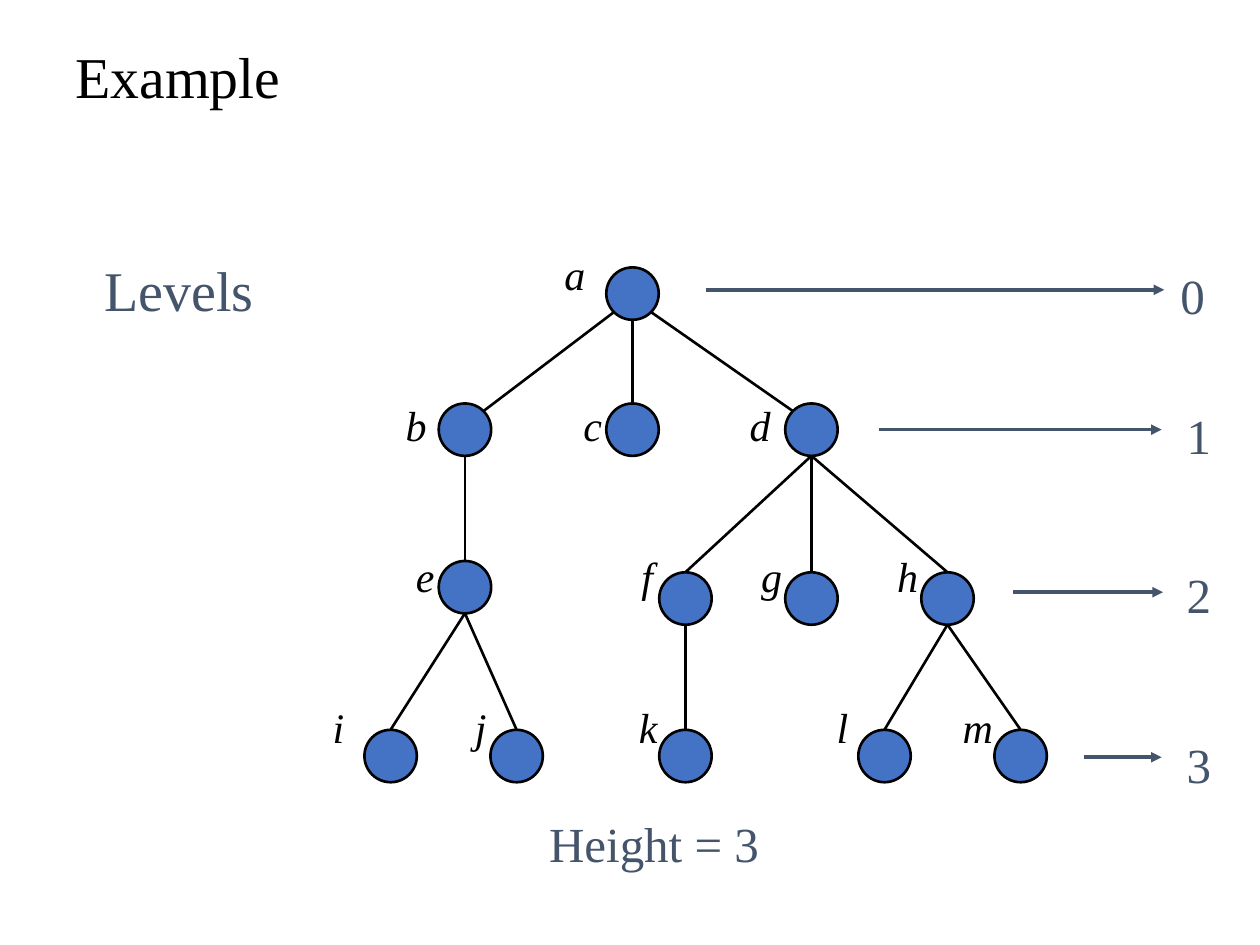
from math import sqrt

from lxml.etree import SubElement
from pptx import Presentation
from pptx.dml.color import RGBColor
from pptx.enum.shapes import MSO_CONNECTOR, MSO_SHAPE
from pptx.enum.text import MSO_ANCHOR
from pptx.oxml.ns import qn
from pptx.util import Inches, Pt

BLACK = RGBColor(0x00, 0x00, 0x00)
BLUE = RGBColor(0x44, 0x72, 0xC4)
SLATE = RGBColor(0x44, 0x54, 0x6A)
FONT = "Times New Roman"
COLS, ROWS = 100, 75
RADIUS = 2.08

# name: (parent, centre column, centre row, label column, level)
NODES = {
    "a": (None, 50.2, 23.3, 44.8, 0),
    "b": ("a", 36.9, 34.1, 32.2, 1),
    "c": ("a", 50.2, 34.1, 46.3, 1),
    "d": ("a", 64.4, 34.1, 59.5, 1),
    "e": ("b", 36.9, 46.6, 33, 2),
    "f": ("d", 54.4, 47.5, 50.9, 2),
    "g": ("d", 64.4, 47.5, 60.4, 2),
    "h": ("d", 75.2, 47.5, 71.2, 2),
    "i": ("e", 31, 60, 26.4, 3),
    "j": ("e", 41, 60, 37.7, 3),
    "k": ("f", 54.4, 60, 50.7, 3),
    "l": ("h", 70.2, 60, 66.4, 3),
    "m": ("h", 81, 60, 76.4, 3),
}

# arrow start, arrow end, arrow row, number column, number row
LEVELS = [
    (56, 92.4, 23, 92.7, 20.6),
    (69.8, 92.2, 34.1, 93.2, 31.7),
    (80.4, 92.3, 47, 93.2, 44.3),
    (86, 92.2, 60.1, 93.2, 57.8),
]


class Deck:
    """Holds the style and the current slide, measured in grid columns and rows."""

    def __init__(self):
        self.prs = Presentation()
        self.prs.slide_width, self.prs.slide_height = Inches(10), Inches(7.5)
        self.slide = self.prs.slides.add_slide(self.prs.slide_layouts[6])

    def grid(self, col, row):
        return (round(self.prs.slide_width * col / COLS),
                round(self.prs.slide_height * row / ROWS))

    def text(self, words, spot, span, size, color=SLATE, italic=False,
             pad=1, wrap=True, anchor=MSO_ANCHOR.TOP, lead=None):
        box = self.slide.shapes.add_textbox(*self.grid(*spot), *self.grid(*span))
        frame = box.text_frame
        frame.word_wrap, frame.vertical_anchor = wrap, anchor
        side, edge = self.grid(pad, pad / 2)
        frame.margin_left = frame.margin_right = side
        frame.margin_top = frame.margin_bottom = edge
        para = frame.paragraphs[0]
        para.line_spacing = lead
        run = para.add_run()
        run.text = words
        font = run.font
        font.name, font.size, font.italic = FONT, Pt(size), italic
        font.color.rgb = color

    def node(self, col, row):
        dot = self.slide.shapes.add_shape(
            MSO_SHAPE.OVAL, *self.grid(col - RADIUS, row - RADIUS),
            *self.grid(2 * RADIUS, 2 * RADIUS))
        dot.shadow.inherit = False
        dot.fill.solid()
        dot.fill.fore_color.rgb = BLUE
        dot.line.color.rgb, dot.line.width = BLACK, Pt(1.5)

    def line(self, start, end, color=BLACK, width=1.5, arrow=False):
        link = self.slide.shapes.add_connector(
            MSO_CONNECTOR.STRAIGHT, *self.grid(*start), *self.grid(*end))
        link.line.color.rgb, link.line.width = color, Pt(width)
        if arrow:
            SubElement(link.line._get_or_add_ln(), qn("a:tailEnd"), type="triangle")
        SubElement(link._element.spPr, qn("a:effectLst"))

    def edge(self, top, low, slant):
        side = (low[0] > top[0]) - (low[0] < top[0])
        drop = RADIUS / sqrt(2) if slant and side else RADIUS
        shift = side * drop if slant else 0
        self.line((top[0] + shift, top[1] + drop), (low[0] - shift, low[1] - drop))


def main():
    deck = Deck()
    deck.text("Example", (5, 1.7), (90, 9.2), 33, BLACK,
              anchor=MSO_ANCHOR.MIDDLE, lead=0.9)
    for top, col, row, left, level in NODES.values():
        deck.node(col, row)
    for top, col, row, left, level in NODES.values():
        if top:
            deck.edge(NODES[top][1:3], (col, row), top == "a")
    for name, (top, col, row, left, level) in NODES.items():
        deck.text(name, (left, 19.7 + 12 * level), (3, 4), 24, BLACK,
                  italic=True, pad=0, wrap=False)
    deck.text("Levels", (7.3, 19.8), (13.9, 6.3), 32, wrap=False)
    for level, (start, end, row, col, top) in enumerate(LEVELS):
        deck.line((start, row), (end, row), SLATE, 2, arrow=True)
        deck.text(str(level), (col, top), (4.5, 5.7), 28)
    deck.text("Height = 3", (42.6, 64.1), (23.9, 5.7), 28)
    deck.prs.save("out.pptx")


if __name__ == "__main__":
    main()
